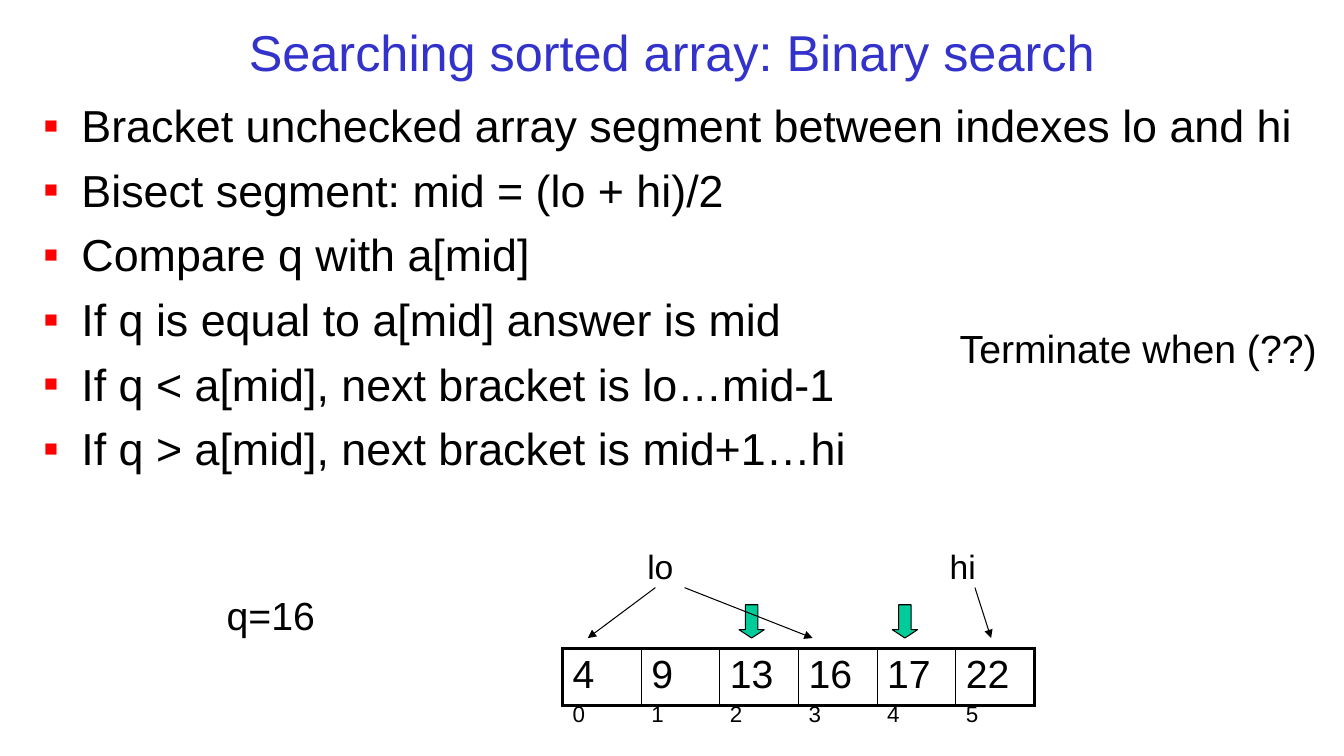
from lxml.etree import SubElement
from pptx import Presentation
from pptx.dml.color import RGBColor
from pptx.enum.shapes import MSO_CONNECTOR, MSO_SHAPE
from pptx.enum.text import MSO_ANCHOR, MSO_AUTO_SIZE, PP_ALIGN
from pptx.oxml.ns import qn
from pptx.util import Inches, Pt

BLACK = RGBColor(0x00, 0x00, 0x00)
TITLE_BLUE = RGBColor(0x33, 0x33, 0xCC)
BULLET_RED = RGBColor(0xFF, 0x00, 0x00)
ARROW_GREEN = RGBColor(0x00, 0xCC, 0x99)
FONT = "Arial"

STEPS = [
    "Bracket unchecked array segment between indexes lo and hi",
    "Bisect segment: mid = (lo + hi)/2",
    "Compare q with a[mid]",
    "If q is equal to a[mid] answer is mid",
    "If q < a[mid], next bracket is lo…mid-1",
    "If q > a[mid], next bracket is mid+1…hi",
]
VALUES = [4, 9, 13, 16, 17, 22]
CELL_WIDTH = 0.78


def add_run(paragraph, text, size, color=BLACK):
    run = paragraph.add_run()
    run.text = text
    run.font.name = FONT
    run.font.size = Pt(size)
    run.font.color.rgb = color


def add_text_box(slide, left, top, width, height):
    text_box = slide.shapes.add_textbox(
        Inches(left), Inches(top), Inches(width), Inches(height))
    text_box.text_frame.word_wrap = True
    return text_box.text_frame


def add_label(slide, text, left, top, width, height, size, inset=True):
    frame = add_text_box(slide, left, top, width, height)
    frame.word_wrap = False
    frame.auto_size = MSO_AUTO_SIZE.SHAPE_TO_FIT_TEXT
    if not inset:
        frame.margin_left = frame.margin_right = 0
        frame.margin_top = frame.margin_bottom = 0
    add_run(frame.paragraphs[0], text, size)


def add_title(slide, left, top, width, height):
    frame = add_text_box(slide, left, top, width, height)
    frame.vertical_anchor = MSO_ANCHOR.MIDDLE
    paragraph = frame.paragraphs[0]
    paragraph.alignment = PP_ALIGN.CENTER
    add_run(paragraph, "Searching sorted array: Binary search", 36, TITLE_BLUE)


def add_bullet(paragraph):
    properties = paragraph._p.get_or_add_pPr()
    properties.set("marL", str(Inches(0.38)))
    properties.set("indent", str(-Inches(0.38)))
    color = SubElement(properties, qn("a:buClr"))
    SubElement(color, qn("a:srgbClr"), val=str(BULLET_RED))
    SubElement(properties, qn("a:buFont"), typeface=FONT)
    SubElement(properties, qn("a:buChar"), char="▪")


def add_steps(slide, left, top, width, height):
    frame = add_text_box(slide, left, top, width, height)
    for index, step in enumerate(STEPS):
        paragraph = frame.add_paragraph() if index else frame.paragraphs[0]
        paragraph.space_before = Pt(7.8)
        add_bullet(paragraph)
        add_run(paragraph, step, 32)


def set_borders(cell, widths):
    properties = cell._tc.get_or_add_tcPr()
    for position, (side, width) in enumerate(widths.items()):
        line = properties.makeelement(qn(f"a:{side}"), {"w": str(Pt(width))})
        fill = SubElement(line, qn("a:solidFill"))
        SubElement(fill, qn("a:srgbClr"), val=str(BLACK))
        properties.insert(position, line)


def add_row(slide, entries, left, top, height, size, bordered):
    count = len(entries)
    table = slide.shapes.add_table(
        1, count, Inches(left), Inches(top),
        Inches(CELL_WIDTH * count), Inches(height)).table
    table.first_row = False
    table.horz_banding = False
    style = table._tbl.tblPr.find(qn("a:tableStyleId"))
    style.text = "{2D5ABB26-0587-4C30-8999-92F81FD0307C}"
    for column, entry in enumerate(entries):
        cell = table.cell(0, column)
        cell.fill.background()
        add_run(cell.text_frame.paragraphs[0], str(entry), size)
        if bordered:
            set_borders(cell, {
                "lnL": 2.25 if column == 0 else 1,
                "lnR": 2.25 if column == count - 1 else 1,
                "lnT": 2.25,
                "lnB": 2.25,
            })


def add_pointer(slide, start_x, start_y, end_x, end_y):
    connector = slide.shapes.add_connector(
        MSO_CONNECTOR.STRAIGHT, Inches(start_x), Inches(start_y),
        Inches(end_x), Inches(end_y))
    connector.line.color.rgb = BLACK
    connector.line.width = Pt(0.75)
    SubElement(connector.line._get_or_add_ln(), qn("a:tailEnd"), type="triangle")
    SubElement(connector._element.spPr, qn("a:effectLst"))


def add_mid_arrow(slide, left, top):
    arrow = slide.shapes.add_shape(
        MSO_SHAPE.DOWN_ARROW, Inches(left), Inches(top),
        Inches(0.25), Inches(0.33))
    arrow.shadow.inherit = False
    arrow.adjustments[0] = 0.5
    arrow.adjustments[1] = 0.33
    arrow.fill.solid()
    arrow.fill.fore_color.rgb = ARROW_GREEN
    arrow.line.color.rgb = BLACK
    arrow.line.width = Pt(0.75)


def add_array_diagram(slide, left, top):
    add_row(slide, VALUES, left, top + 1.01, 0.5, 28, True)
    for text, offset in (("lo", 0.84), ("hi", 3.84)):
        add_label(slide, text, left + offset, top, 0.26, 0.4, 24, inset=False)
    add_row(slide, range(len(VALUES)), left, top + 1.5, 0.25, 16, False)
    add_mid_arrow(slide, left + 1.75, top + 0.58)
    for start, end in ((0.92, 0.25), (1.21, 2.48), (4.09, 4.25)):
        add_pointer(slide, left + start, top + 0.41, left + end, top + 0.91)
    add_mid_arrow(slide, left + 3.27, top + 0.58)


def main():
    presentation = Presentation()
    presentation.slide_width = Inches(13.33)
    presentation.slide_height = Inches(7.5)
    slide = presentation.slides.add_slide(presentation.slide_layouts[6])
    add_title(slide, 0.33, 0.17, 12.67, 0.67)
    add_steps(slide, 0.33, 0.92, 12.67, 6.25)
    add_label(slide, "q=16", 2.15, 5.82, 1.08, 0.57, 28)
    add_array_diagram(slide, 5.58, 5.42)
    add_label(slide, "Terminate when (??)", 9.42, 3.17, 3.79, 0.57, 28)
    presentation.save("out.pptx")


if __name__ == "__main__":
    main()
